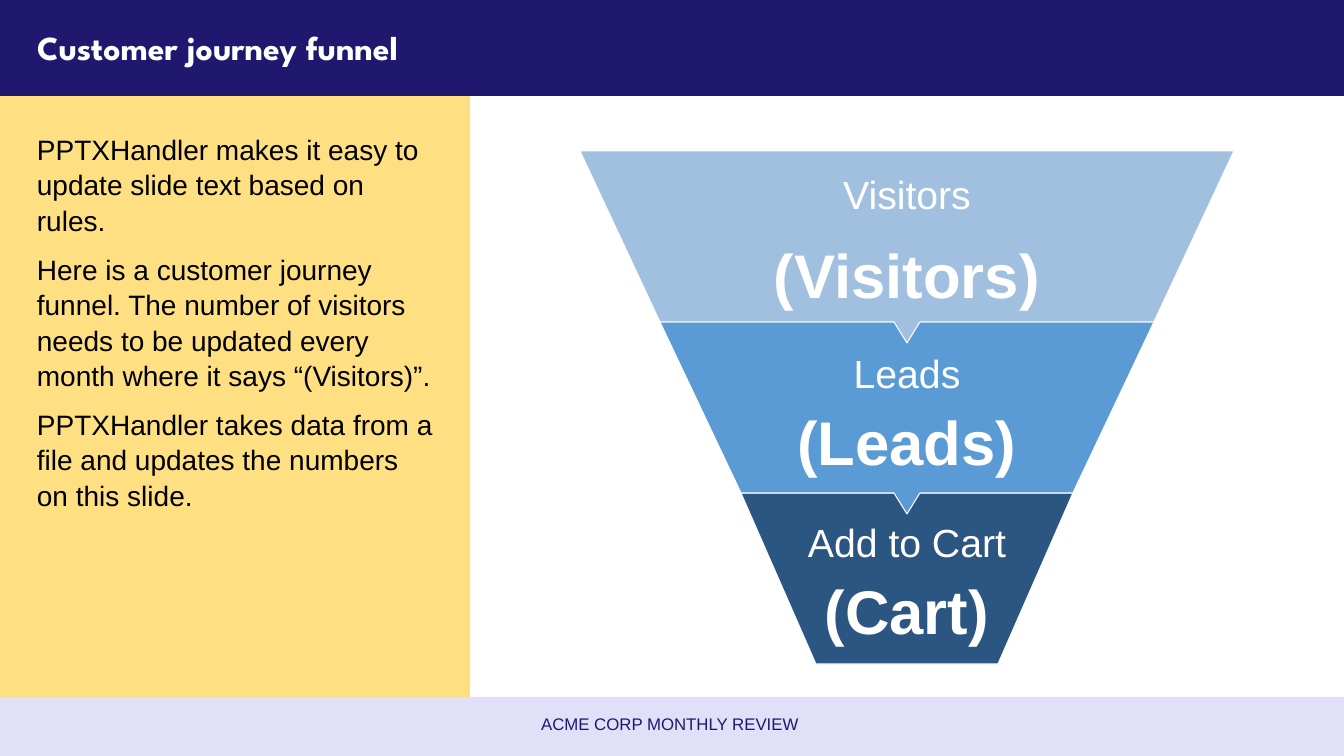
from lxml import etree
from pptx import Presentation, util as u
from pptx.dml.color import RGBColor
from pptx.enum import shapes, text
from pptx.oxml import ns

# Content
TITLE = "Customer journey funnel"
EXPLANATION = [
    "PPTXHandler makes it easy to update slide text based on rules.",
    "Here is a customer journey funnel. The number of visitors needs to be "
    "updated every month where it says “(Visitors)”.",
    "PPTXHandler takes data from a file and updates the numbers on this slide.",
]
FOOTER = "ACME CORP MONTHLY REVIEW"

NAVY = RGBColor(0x20, 0x18, 0x6F)
AMBER = RGBColor(0xFE, 0xC1, 0x07)
LAVENDER = RGBColor(0xC6, 0xC1, 0xF2)
PALE_BLUE = RGBColor(0xA1, 0xC0, 0xE0)
MID_BLUE = RGBColor(0x5B, 0x9B, 0xD5)
DARK_BLUE = RGBColor(0x2B, 0x56, 0x81)
WHITE = RGBColor(0xFF, 0xFF, 0xFF)
BLACK = RGBColor(0, 0, 0)

# Label, value, colour, label top, value top
STAGES = [
    ("Visitors", "(Visitors)", PALE_BLUE, 170, 236),
    ("Leads", "(Leads)", MID_BLUE, 349, 403),
    ("Add to Cart", "(Cart)", DARK_BLUE, 518, 572),
]

# Layout, in pixels
SCALE = 914400 / 100.8
WIDTH, HEIGHT = 1344, 756
HEADER_BOTTOM, FOOTER_TOP, PANEL_WIDTH = 96, 697, 470
FUNNEL_CENTER, FUNNEL_TOP, STAGE_HEIGHT = 907, 151, 171
HALF_WIDTHS = [327, 247, 166, 91]
NOTCH_HALF, NOTCH_DEPTH = 13, 21
TEXT_WIDTH = 360


def px(value):
    return u.Emu(round(value * SCALE))


def format_text(frame, size, color, font="Arial", bold=False,
                align=text.PP_ALIGN.LEFT, anchor=text.MSO_ANCHOR.TOP):
    frame.word_wrap = True
    frame.vertical_anchor = anchor
    for paragraph in frame.paragraphs:
        paragraph.alignment = align
        for run in paragraph.runs:
            run.font.name, run.font.size = font, u.Pt(size)
            run.font.bold, run.font.color.rgb = bold, color


def add_text(content, left, top, width, height, size, color, margin=None, **style):
    frame = slide.shapes.add_textbox(*map(px, (left, top, width, height))).text_frame
    frame.text = content
    if margin is not None:
        frame.margin_left = frame.margin_right = margin
        frame.margin_top = frame.margin_bottom = margin
    format_text(frame, size, color, **style)
    return frame


def add_band(left, top, right, bottom, color, opacity=100):
    band = slide.shapes.add_shape(shapes.MSO_SHAPE.RECTANGLE,
                                  *map(px, (left, top, right - left, bottom - top)))
    band.shadow.inherit = False
    band.fill.solid()
    band.fill.fore_color.rgb = color
    band.line.fill.background()
    if opacity < 100:
        color_element = band.fill._xPr.find(".//" + ns.qn("a:srgbClr"))
        etree.SubElement(color_element, ns.qn("a:alpha"), val=str(opacity * 1000))


def add_stage(index, color):
    top = FUNNEL_TOP + index * STAGE_HEIGHT
    bottom = top + STAGE_HEIGHT
    upper, lower = HALF_WIDTHS[index:index + 2]
    offsets = [(-upper, top), (upper, top), (lower, bottom)]
    if index < len(STAGES) - 1:
        offsets += [(NOTCH_HALF, bottom), (0, bottom + NOTCH_DEPTH), (-NOTCH_HALF, bottom)]
    offsets.append((-lower, bottom))
    points = [(FUNNEL_CENTER + x, y) for x, y in offsets]
    builder = slide.shapes.build_freeform(*points[0], scale=SCALE)
    builder.add_line_segments(points[1:], close=True)
    stage = builder.convert_to_shape()
    stage.shadow.inherit = False
    stage.fill.solid()
    stage.fill.fore_color.rgb = color
    stage.line.color.rgb = WHITE
    stage.line.width = u.Pt(0.75)


presentation = Presentation()
presentation.slide_width, presentation.slide_height = px(WIDTH), px(HEIGHT)
slide = presentation.slides.add_slide(presentation.slide_layouts[5])

# Background bands
add_band(0, HEADER_BOTTOM, PANEL_WIDTH, FOOTER_TOP, AMBER, 50)
add_band(0, FOOTER_TOP, WIDTH, HEIGHT, LAVENDER, 50)
add_band(0, 0, WIDTH, HEADER_BOTTOM, NAVY)

# Title, brought in front of the header band
title = slide.shapes.title
title.left, title.top, title.width, title.height = map(px, (27, 12, 1290, 71))
title.text_frame.text = TITLE
format_text(title.text_frame, 24, WHITE, font="League Spartan", bold=True,
            anchor=text.MSO_ANCHOR.MIDDLE)
slide.shapes._spTree.append(title._element)

# Explanation and footer
explanation = add_text("\n".join(EXPLANATION), 27, 126, 418, 564, 20, BLACK)
for paragraph in explanation.paragraphs:
    paragraph.space_before = u.Pt(10)
    paragraph.line_spacing = 1.05
add_text(FOOTER, 206, 704, 928, 40, 12, NAVY,
         align=text.PP_ALIGN.CENTER, anchor=text.MSO_ANCHOR.MIDDLE)

# Funnel, from the bottom up so that each notch overlaps the next stage
for index in reversed(range(len(STAGES))):
    add_stage(index, STAGES[index][2])

text_left = FUNNEL_CENTER - TEXT_WIDTH / 2
for label, value, _, label_top, value_top in STAGES:
    add_text(label, text_left, label_top, TEXT_WIDTH, 48, 28, WHITE, margin=0,
             align=text.PP_ALIGN.CENTER)
    add_text(value, text_left, value_top, TEXT_WIDTH, 75, 44, WHITE, margin=0, bold=True,
             align=text.PP_ALIGN.CENTER, anchor=text.MSO_ANCHOR.MIDDLE)

presentation.save("out.pptx")
